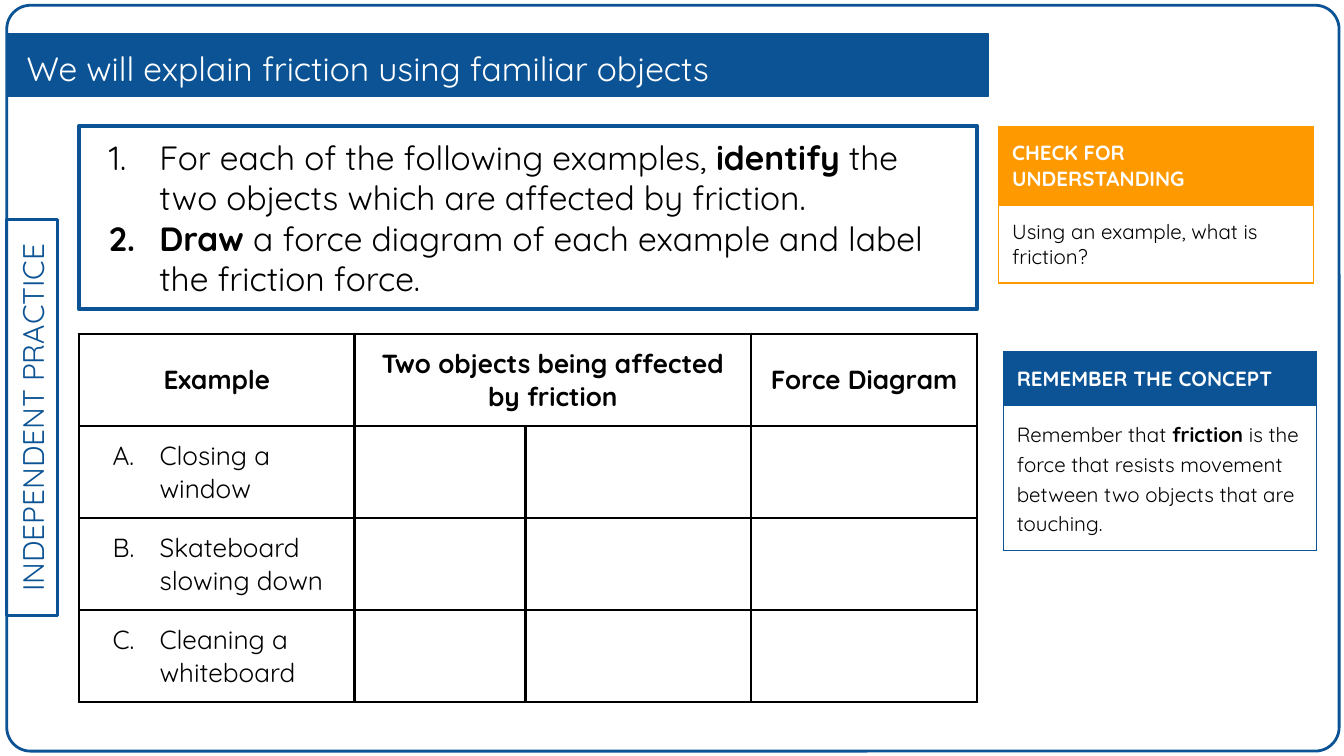
from lxml import etree
from pptx import Presentation
from pptx.dml.color import RGBColor
from pptx.enum.shapes import MSO_SHAPE
from pptx.enum.text import MSO_ANCHOR, PP_ALIGN
from pptx.oxml.ns import qn
from pptx.util import Pt

RECTANGLE = MSO_SHAPE.RECTANGLE
ROUNDED = MSO_SHAPE.ROUNDED_RECTANGLE
CENTER, LEFT = PP_ALIGN.CENTER, PP_ALIGN.LEFT
MIDDLE, TOP = MSO_ANCHOR.MIDDLE, MSO_ANCHOR.TOP
FONT = "Quicksand"
MARGIN = Pt(7.2)
COLORS = {"blue": "0B5394", "orange": "FF9900", "black": "000000", "white": "FFFFFF"}


def rgb(name):
    return RGBColor.from_string(COLORS[name])


def add_color(parent, name):
    etree.SubElement(parent, qn("a:srgbClr"), val=COLORS[name])


def write(paragraph, runs, size, color="black", align=LEFT, spacing=None):
    paragraph.alignment = align
    if spacing:
        paragraph.line_spacing = spacing
    for text, bold in runs:
        run = paragraph.add_run()
        run.text = text
        run.font.name = FONT
        run.font.size = Pt(size)
        run.font.bold = bold
        run.font.color.rgb = rgb(color)


def number(paragraph, scheme, indent, start=1):
    properties = paragraph._p.get_or_add_pPr()
    properties.set("marL", str(Pt(36)))
    properties.set("indent", str(-Pt(indent)))
    add_color(etree.SubElement(properties, qn("a:buClr")), "black")
    etree.SubElement(properties, qn("a:buFont"), typeface=FONT)
    etree.SubElement(properties, qn("a:buAutoNum"), type=scheme, startAt=str(start))


def set_margins(holder):
    holder.margin_left = holder.margin_right = MARGIN
    holder.margin_top = holder.margin_bottom = MARGIN


def prepare_frame(shape):
    frame = shape.text_frame
    frame.word_wrap = True
    frame.vertical_anchor = MIDDLE
    set_margins(frame)
    return frame


def add_box(slide, kind, box, width, fill=None):
    shape = slide.shapes.add_shape(kind, *map(Pt, box))
    shape.shadow.inherit = False
    if fill:
        shape.fill.solid()
        shape.fill.fore_color.rgb = rgb(fill)
    else:
        shape.fill.background()
    shape.line.color.rgb = rgb("blue")
    shape.line.width = Pt(width)
    return shape


def style_cell(cell, border, width, fill=None, anchor=TOP):
    set_margins(cell)
    cell.vertical_anchor = anchor
    properties = cell._tc.get_or_add_tcPr()
    for side in ("lnL", "lnR", "lnT", "lnB"):
        line = etree.SubElement(properties, qn("a:" + side), w=str(Pt(width)))
        add_color(etree.SubElement(line, qn("a:solidFill")), border)
    if fill:
        cell.fill.solid()
        cell.fill.fore_color.rgb = rgb(fill)
    else:
        cell.fill.background()


def add_grid(slide, left, top, columns, rows):
    table = slide.shapes.add_table(
        len(rows), len(columns), Pt(left), Pt(top), Pt(sum(columns)), Pt(sum(rows))
    ).table
    table.first_row = table.horz_banding = False
    for column, width in zip(table.columns, columns):
        column.width = Pt(width)
    for row, height in zip(table.rows, rows):
        row.height = Pt(height)
    return table


def add_frame(slide, box):
    add_box(slide, ROUNDED, box, 1.5).adjustments[0] = 0.032


def add_side_label(slide, box, text):
    left, top, width, height = box
    turned = (left + (width - height) / 2, top + (height - width) / 2, height, width)
    shape = add_box(slide, RECTANGLE, turned, 1.5)
    shape.rotation = 270
    write(prepare_frame(shape).paragraphs[0], [(text, False)], 16, "blue", CENTER)


def add_title(slide, box, text):
    left, top, width, height = box
    add_box(slide, RECTANGLE, box, 0.75, "blue")
    text_box = slide.shapes.add_textbox(
        Pt(left + 3.6), Pt(top + 3), Pt(width - 7.2), Pt(height - 6)
    )
    paragraph = prepare_frame(text_box).paragraphs[0]
    write(paragraph, [(text, False)], 18, "white", spacing=1.15)


def add_instructions(slide, box, steps):
    frame = prepare_frame(add_box(slide, RECTANGLE, box, 2.25))
    for index, runs in enumerate(steps):
        paragraph = frame.add_paragraph() if index else frame.paragraphs[0]
        number(paragraph, "arabicPeriod", 27)
        write(paragraph, runs, 18)


def add_card(slide, box, heading_height, color, heading, runs, spacing=None):
    left, top, width, height = box
    rows = [heading_height, height - heading_height]
    table = add_grid(slide, left, top, [width], rows)
    head, body = table.cell(0, 0), table.cell(1, 0)
    style_cell(head, color, 0.75, color)
    style_cell(body, color, 0.75)
    write(head.text_frame.paragraphs[0], [(heading, True)], 11, "white")
    write(body.text_frame.paragraphs[0], runs, 11, spacing=spacing)


def add_practice_table(slide, box, headings, examples):
    left, top, width, height = box
    wide = 121
    columns = [width - 2 * wide - 91.5, 91.5, wide, wide]
    rows = [height / (len(examples) + 1)] * (len(examples) + 1)
    table = add_grid(slide, left, top, columns, rows)
    for row in range(len(rows)):
        for column in range(len(columns)):
            anchor = TOP if row else MIDDLE
            style_cell(table.cell(row, column), "black", 1.5, anchor=anchor)
    table.cell(0, 1).merge(table.cell(0, 2))
    for column, text in headings.items():
        paragraph = table.cell(0, column).text_frame.paragraphs[0]
        write(paragraph, [(text, True)], 14, align=CENTER)
    for row, text in enumerate(examples, 1):
        paragraph = table.cell(row, 0).text_frame.paragraphs[0]
        number(paragraph, "alphaUcPeriod", 25.2, row)
        write(paragraph, [(text, False)], 14)


def main():
    presentation = Presentation()
    presentation.slide_width, presentation.slide_height = Pt(720), Pt(405)
    slide = presentation.slides.add_slide(presentation.slide_layouts[6])
    add_frame(slide, (3.6, 2.8, 713.8, 399.6))
    add_side_label(slide, (3.6, 117.6, 27.3, 212.3), "INDEPENDENT PRACTICE")
    add_title(slide, (3.6, 18.2, 526, 33.3),
              "We will explain friction using familiar objects")
    add_card(slide, (535, 67.7, 168.6, 84), 42.2, "orange", "CHECK FOR UNDERSTANDING",
             [("Using an example, what is friction?", False)])
    add_card(slide, (537.5, 188.6, 167.8, 106.2), 28.4, "blue", "REMEMBER THE CONCEPT",
             [("Remember that ", False), ("friction", True),
              (" is the force that resists movement between two objects that are touching.",
               False)], 1.15)
    add_instructions(slide, (42.3, 67.6, 481.2, 98), [
        [("For each of the following examples, ", False), ("identify", True),
         (" the two objects which are affected by friction.", False)],
        [("Draw", True),
         (" a force diagram of each example and label the friction force.", False)],
    ])
    add_practice_table(
        slide, (42.3, 178.8, 481.2, 197.4),
        {0: "Example", 1: "Two objects being affected by friction", 3: "Force Diagram"},
        ["Closing a window", "Skateboard slowing down", "Cleaning a whiteboard"],
    )
    presentation.save("out.pptx")


if __name__ == "__main__":
    main()
